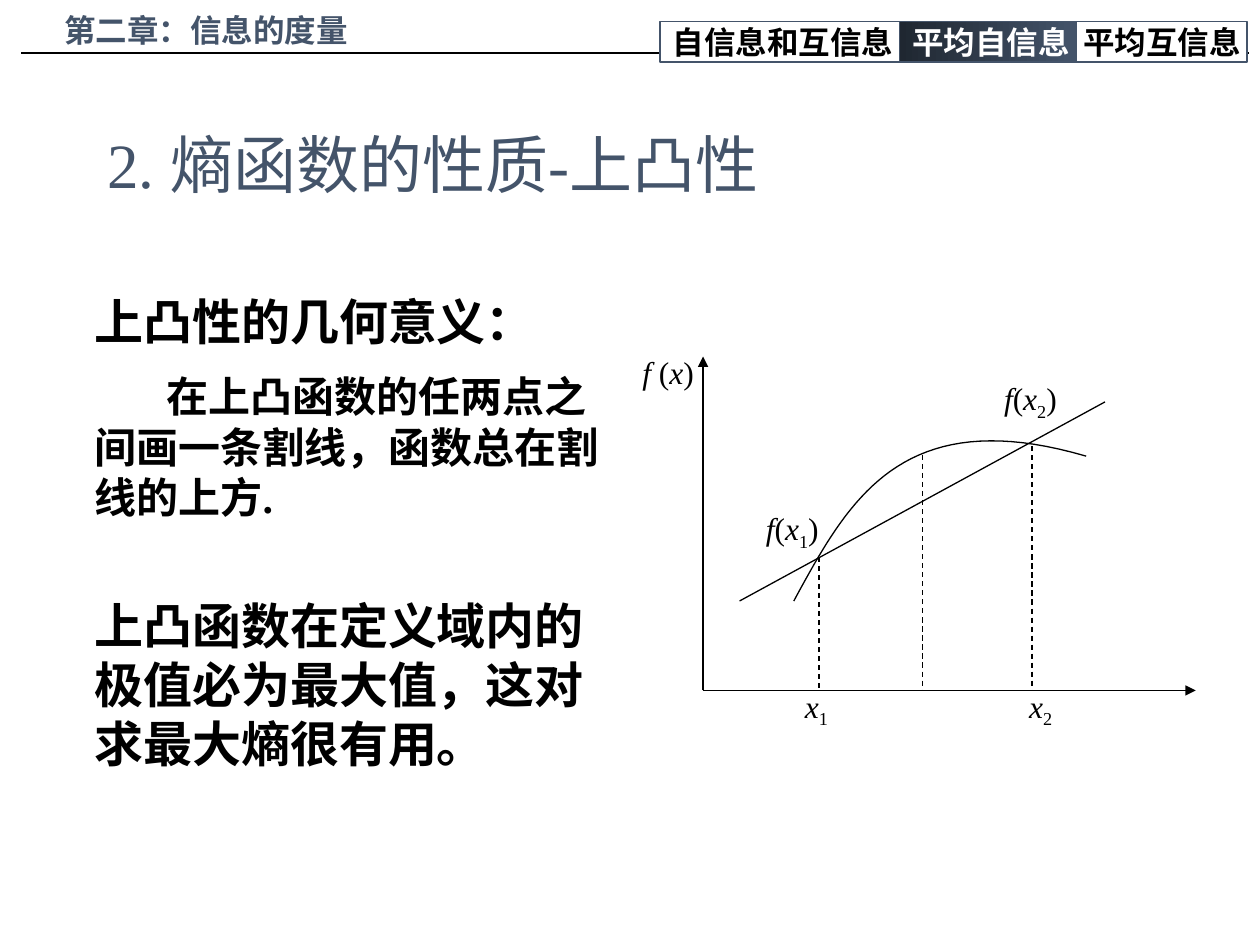
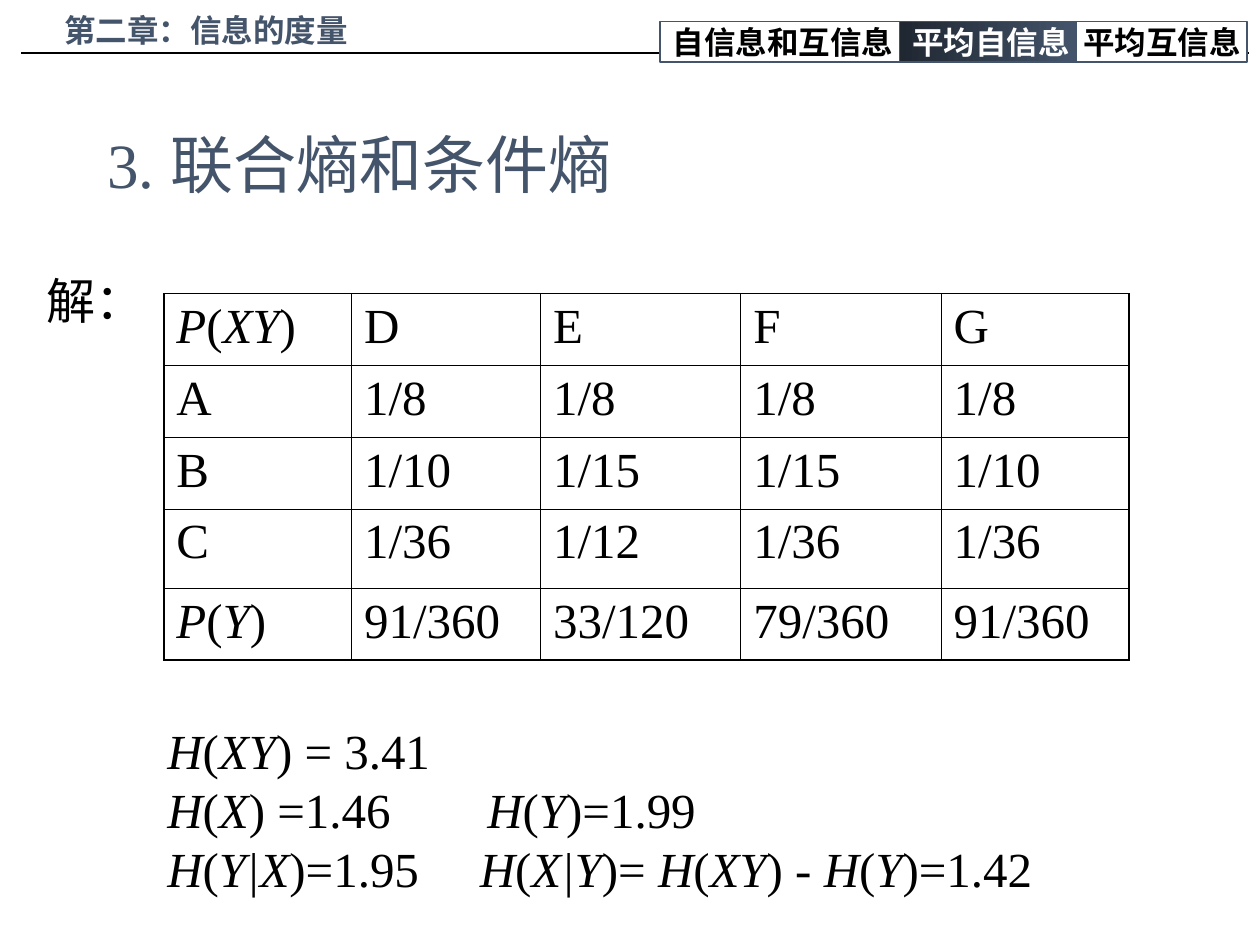
from dataclasses import dataclass

from lxml import etree
from pptx import Presentation
from pptx.dml.color import RGBColor
from pptx.enum.dml import MSO_LINE
from pptx.enum.shapes import MSO_CONNECTOR, MSO_SHAPE
from pptx.enum.text import MSO_ANCHOR, MSO_AUTO_SIZE, PP_ALIGN
from pptx.oxml.ns import qn
from pptx.util import Pt

PX = 9144  # EMU in one px, 100 px to the inch
FONT = "Times New Roman"
BLACK = RGBColor(0x00, 0x00, 0x00)
WHITE = RGBColor(0xFF, 0xFF, 0xFF)
SLATE = RGBColor(0x44, 0x54, 0x6A)
DARK_SLATE = RGBColor(0x1F, 0x27, 0x31)

STRAIGHT = MSO_CONNECTOR.STRAIGHT
RECTANGLE = MSO_SHAPE.RECTANGLE
DASH = MSO_LINE.DASH
TOP, MIDDLE = MSO_ANCHOR.TOP, MSO_ANCHOR.MIDDLE
LEFT, CENTER = PP_ALIGN.LEFT, PP_ALIGN.CENTER
NO_FIT = MSO_AUTO_SIZE.NONE
TITLE_AND_CONTENT, TITLE_ONLY = 1, 5


@dataclass(frozen=True)
class Box:
    left: int
    top: int
    width: int
    height: int

    def emu(self) -> tuple[int, ...]:
        return tuple(n * PX for n in (self.left, self.top, self.width, self.height))


@dataclass(frozen=True)
class Tab:
    text: str
    box: Box
    current: bool = False


@dataclass(frozen=True)
class Line:
    start: tuple[int, int]
    end: tuple[int, int]
    width: float = 0.75
    dashed: bool = False
    arrow: bool = False


@dataclass(frozen=True)
class Label:
    markup: str
    box: Box


@dataclass(frozen=True)
class BodyParagraph:
    text: str
    size: int
    space_before: int
    first_indent: int = 0


@dataclass(frozen=True)
class Formula:
    markup: str
    tab_stop: int = 0


TITLE_BOX = Box(75, 67, 850, 125)
CHAPTER_BOX = Box(8, 4, 311, 40)
HEADER_RULE = Line((17, 42), (991, 42), width=1)
HEADER_TABS = [
    Tab("自信息和互信息", Box(524, 17, 195, 32)),
    Tab("平均互信息", Box(850, 17, 140, 32)),
    Tab("平均自信息", Box(714, 17, 140, 32), current=True),
]

BODY_BOX = Box(27, 226, 465, 450)
BODY_MARGIN = 38
BODY = [
    BodyParagraph("上凸性的几何意义：", 28, 0),
    BodyParagraph("在上凸函数的任两点之间画一条割线，函数总在割线的上方.", 24, 12, 57),
    BodyParagraph("上凸函数在定义域内的极值必为最大值，这对求最大熵很有用。", 28, 42),
]

ORIGIN = (558, 548)
GRAPH_LINES = [
    Line(ORIGIN, (558, 283), arrow=True),
    Line(ORIGIN, (949, 548), arrow=True),
    Line((587, 477), (877, 319)),
] + [Line((x, top), (x, 548), dashed=True) for x, top in ((650, 442), (819, 354), (732, 361))]
CURVE = [(630, 477), (673, 398), (715, 319), (862, 362)]
CURVE_STEPS = 40
GRAPH_LABELS = [
    Label("*f* (*x*)", Box(500, 275, 275, 70)),
    Label("*x*~1~", Box(629, 540, 52, 39)),
    Label("*x*~2~", Box(807, 540, 55, 47)),
    Label("*f*(*x*~1~)", Box(598, 399, 75, 39)),
    Label("*f*(*x*~2~)", Box(787, 296, 75, 39)),
]

TABLE_BOX = Box(130, 233, 766, 291)
COLUMN_WIDTHS = [149, 150, 159, 159, 149]
ROW_HEIGHTS = [57, 57, 57, 63, 57]
PROBABILITIES = [
    ["*P*(*XY*)", "D", "E", "F", "G"],
    ["A", "1/8", "1/8", "1/8", "1/8"],
    ["B", "1/10", "1/15", "1/15", "1/10"],
    ["C", "1/36", "1/12", "1/36", "1/36"],
    ["*P*(*Y*)", "91/360", "33/120", "79/360", "91/360"],
]
INNER_BORDER, TOP_BORDER, OUTER_BORDER = 0.45, 0.75, 1.08
SOLUTION_BOX = Box(27, 210, 133, 57)
FORMULA_BOX = Box(123, 567, 730, 150)
FORMULAS = [
    Formula("*H*(*XY*) = 3.41"),
    Formula("*H*(*X*) =1.46\t*H*(*Y*)=1.99", 254),
    Formula("*H*(*Y|X*)=1.95\t*H*(*X|Y*)= *H*(*XY*) - *H*(*Y*)=1.42", 248),
]


def style(paragraph, size: int, color: RGBColor = BLACK, bold: bool = False) -> None:
    font = paragraph.font
    font.name, font.size, font.bold = FONT, Pt(size), bold
    font.color.rgb = color


def write_markup(paragraph, markup: str, size: int) -> None:
    """Write text where *...* is italic and ~...~ is subscript."""
    style(paragraph, size)
    for i, part in enumerate(markup.split("*")):
        for j, text in enumerate(part.split("~")):
            if text:
                run = paragraph.add_run()
                run.text = text
                if i % 2:
                    run.font.italic = True
                if j % 2:
                    run.font.size = Pt(size)
                    run.font._element.set("baseline", "-25000")


def place(shape, box: Box) -> None:
    shape.left, shape.top, shape.width, shape.height = box.emu()


def add_text_frame(slide, box: Box, anchor=TOP):
    frame = slide.shapes.add_textbox(*box.emu()).text_frame
    frame.word_wrap = True
    frame.vertical_anchor = anchor
    return frame


def add_line(slide, line: Line) -> None:
    ends = (n * PX for n in line.start + line.end)
    connector = slide.shapes.add_connector(STRAIGHT, *ends)
    connector.line.color.rgb = BLACK
    connector.line.width = Pt(line.width)
    if line.dashed:
        connector.line.dash_style = DASH
    properties = connector._element.spPr
    if line.arrow:
        etree.SubElement(properties.find(qn("a:ln")), qn("a:tailEnd"), type="triangle")
    etree.SubElement(properties, qn("a:effectLst"))


def add_tab(slide, tab: Tab) -> None:
    shape = slide.shapes.add_shape(RECTANGLE, *tab.box.emu())
    shape.shadow.inherit = False
    shape.line.color.rgb = SLATE
    shape.line.width = Pt(1)
    if tab.current:
        shape.fill.gradient()
        shape.fill.gradient_angle = 0
        for stop, color, position in zip(shape.fill.gradient_stops, (DARK_SLATE, SLATE), (0, 1)):
            stop.color.rgb = color
            stop.position = position
    else:
        shape.fill.solid()
        shape.fill.fore_color.rgb = WHITE
    frame = shape.text_frame
    frame.word_wrap = False
    frame.vertical_anchor = MIDDLE
    paragraph = frame.paragraphs[0]
    paragraph.text = tab.text
    paragraph.alignment = LEFT
    style(paragraph, 18, WHITE if tab.current else BLACK, bold=True)


def add_slide(presentation, layout: int, title: str):
    """Add a slide with its title and the shared header."""
    slide = presentation.slides.add_slide(presentation.slide_layouts[layout])
    place(slide.shapes.title, TITLE_BOX)
    frame = slide.shapes.title.text_frame
    frame.vertical_anchor = MIDDLE
    frame.auto_size = NO_FIT
    frame.text = title
    frame.paragraphs[0].alignment = LEFT
    style(frame.paragraphs[0], 36, SLATE)

    add_line(slide, HEADER_RULE)
    for tab in HEADER_TABS:
        add_tab(slide, tab)
    chapter = add_text_frame(slide, CHAPTER_BOX, MIDDLE).paragraphs[0]
    chapter.text = "第二章：信息的度量"
    chapter.alignment = CENTER
    style(chapter, 18, SLATE, bold=True)
    return slide


def fill_body(placeholder) -> None:
    place(placeholder, BODY_BOX)
    frame = placeholder.text_frame
    frame.auto_size = NO_FIT
    for index, item in enumerate(BODY):
        paragraph = frame.add_paragraph() if index else frame.paragraphs[0]
        paragraph.text = item.text
        properties = paragraph._p.get_or_add_pPr()
        properties.set("marL", str(BODY_MARGIN * PX))
        properties.set("indent", str(item.first_indent * PX))
        etree.SubElement(properties, qn("a:buNone"))
        paragraph.space_before = Pt(item.space_before)
        style(paragraph, item.size, bold=True)


def add_curve(slide) -> None:
    """Draw the concave function as a sampled cubic Bézier curve."""
    points = []
    for step in range(CURVE_STEPS + 1):
        t = step / CURVE_STEPS
        weights = ((1 - t) ** 3, 3 * t * (1 - t) ** 2, 3 * t**2 * (1 - t), t**3)
        points.append(tuple(round(PX * sum(w * n for w, n in zip(weights, axis))) for axis in zip(*CURVE)))
    builder = slide.shapes.build_freeform(*points[0])
    builder.add_line_segments(points[1:], close=False)
    curve = builder.convert_to_shape()
    curve.shadow.inherit = False
    curve.fill.background()
    curve.line.color.rgb = BLACK
    curve.line.width = Pt(0.75)


def set_borders(cell, widths: dict[str, float]) -> None:
    properties = cell._tc.get_or_add_tcPr()
    for index, (side, width) in enumerate(widths.items()):
        border = etree.Element(qn(f"a:ln{side}"), w=str(Pt(width)))
        fill = etree.SubElement(border, qn("a:solidFill"))
        etree.SubElement(fill, qn("a:srgbClr"), val=str(BLACK))
        properties.insert(index, border)


def add_probability_table(slide) -> None:
    last_row, last_column = len(ROW_HEIGHTS) - 1, len(COLUMN_WIDTHS) - 1
    table = slide.shapes.add_table(last_row + 1, last_column + 1, *TABLE_BOX.emu()).table
    table.first_row = table.horz_banding = False
    for column, width in zip(table.columns, COLUMN_WIDTHS):
        column.width = width * PX
    for row, height in zip(table.rows, ROW_HEIGHTS):
        row.height = height * PX
    for r, values in enumerate(PROBABILITIES):
        for c, markup in enumerate(values):
            cell = table.cell(r, c)
            cell.fill.background()
            write_markup(cell.text_frame.paragraphs[0], markup, 28)
            set_borders(cell, {
                "L": INNER_BORDER if c else OUTER_BORDER,
                "R": OUTER_BORDER if c == last_column else INNER_BORDER,
                "T": INNER_BORDER if r else TOP_BORDER,
                "B": OUTER_BORDER if r == last_row else INNER_BORDER,
            })


def add_formulas(slide) -> None:
    frame = add_text_frame(slide, FORMULA_BOX)
    for index, formula in enumerate(FORMULAS):
        paragraph = frame.add_paragraph() if index else frame.paragraphs[0]
        if formula.tab_stop:
            stops = etree.SubElement(paragraph._p.get_or_add_pPr(), qn("a:tabLst"))
            etree.SubElement(stops, qn("a:tab"), pos=str(formula.tab_stop * PX), algn="l")
        write_markup(paragraph, formula.markup, 28)


def main() -> None:
    presentation = Presentation()
    presentation.slide_width, presentation.slide_height = 1000 * PX, 750 * PX

    concavity = add_slide(presentation, TITLE_AND_CONTENT, "2. 熵函数的性质-上凸性")
    fill_body(concavity.placeholders[1])
    for line in GRAPH_LINES:
        add_line(concavity, line)
    add_curve(concavity)
    for label in GRAPH_LABELS:
        write_markup(add_text_frame(concavity, label.box).paragraphs[0], label.markup, 18)

    joint_entropy = add_slide(presentation, TITLE_ONLY, "3. 联合熵和条件熵")
    add_probability_table(joint_entropy)
    write_markup(add_text_frame(joint_entropy, SOLUTION_BOX).paragraphs[0], "解：", 28)
    add_formulas(joint_entropy)

    presentation.save("out.pptx")


if __name__ == "__main__":
    main()
